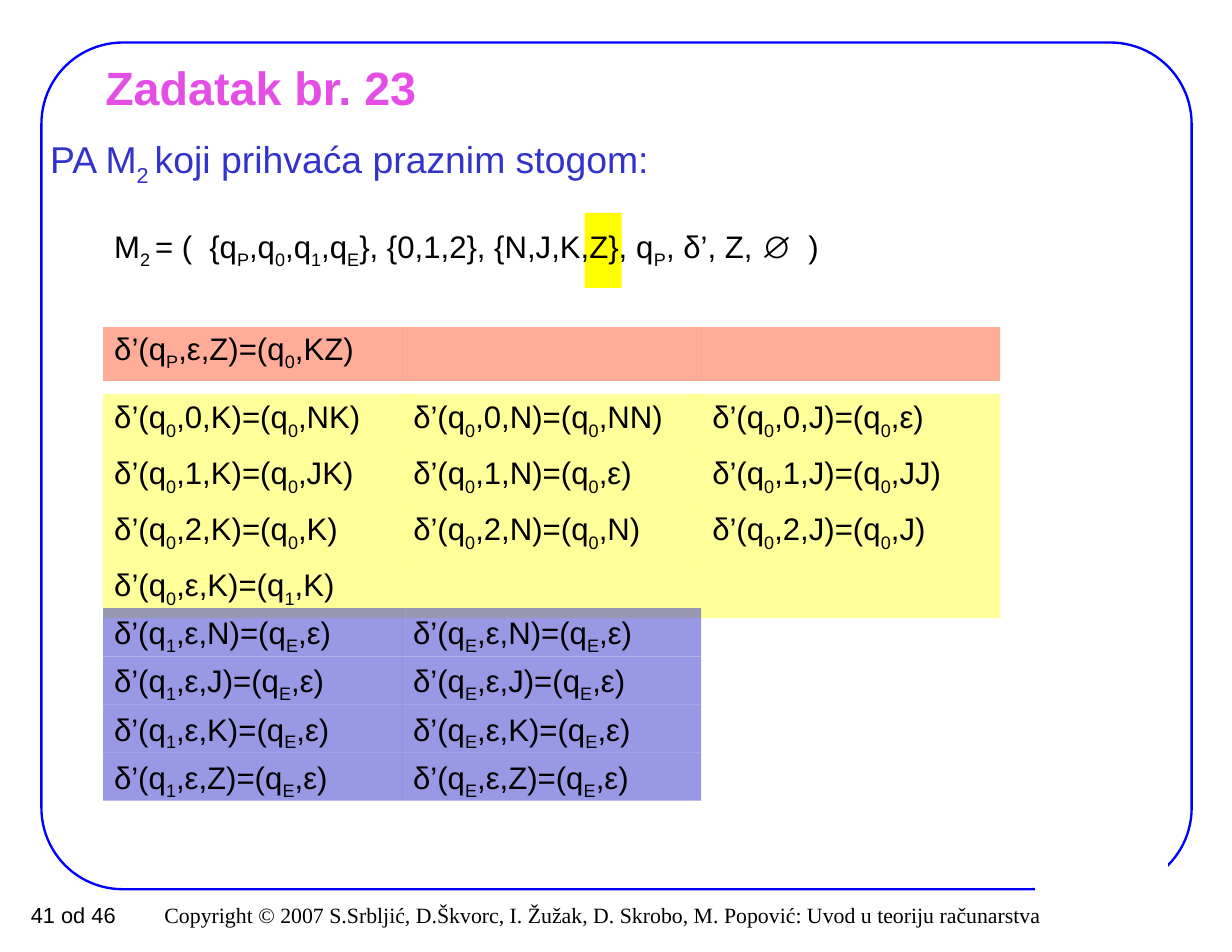
from lxml.etree import SubElement
from pptx import Presentation
from pptx.dml.color import RGBColor
from pptx.enum.shapes import MSO_SHAPE
from pptx.enum.text import MSO_ANCHOR, PP_ALIGN
from pptx.oxml.ns import qn
from pptx.util import Inches, Pt

BLACK = RGBColor(0, 0, 0)
WHITE = RGBColor(255, 255, 255)
BLUE = RGBColor(0, 0, 255)
INDIGO = RGBColor(0x33, 0x33, 0xCC)
PINK = RGBColor(0xE4, 0x4E, 0xE4)
YELLOW = RGBColor(255, 255, 0)
RED = RGBColor(0xFF, 0x33, 0)
PLAIN_STYLE = "{2D5ABB26-0587-4C30-8999-92F81FD0307C}"  # no style, no grid

# Text between bars is subscript.
TITLE = "Zadatak br. 23"
HEADING = "PA M|2 |koji prihvaća praznim stogom:"
MACHINE = ("M|2 |= (\t{q|P|,q|0|,q|1|,q|E|}, {0,1,2}, {N,J,K,Z}, "
           "q|P|, δ’, Z, ∅\t)")
MACHINE_TABS = [0.85, 6.2]
FOOTER = ("Copyright © 2007 S.Srbljić, D.Škvorc, I. Žužak, D. Skrobo, "
          "M. Popović: Uvod u teoriju računarstva")
PAGE = "41 od 46"

START = [["δ’(q|P|,ε,Z)=(q|0|,KZ)", "", ""]]
READ = [
    ["δ’(q|0|,0,K)=(q|0|,NK)", "δ’(q|0|,0,N)=(q|0|,NN)", "δ’(q|0|,0,J)=(q|0|,ε)"],
    ["δ’(q|0|,1,K)=(q|0|,JK)", "δ’(q|0|,1,N)=(q|0|,ε)", "δ’(q|0|,1,J)=(q|0|,JJ)"],
    ["δ’(q|0|,2,K)=(q|0|,K)", "δ’(q|0|,2,N)=(q|0|,N)", "δ’(q|0|,2,J)=(q|0|,J)"],
    ["δ’(q|0|,ε,K)=(q|1|,K)", "", ""],
]
STATES = "1E"
STACK = "NJKZ"

LEFT, COL = 0.92, 2.67
EMPTY_TOP, EMPTY_ROW = 5.43, 0.43


def write(frame, text, size=20, color=BLACK, font="Arial", sub=-25,
          anchor=MSO_ANCHOR.TOP, align=PP_ALIGN.LEFT, tabs=()):
    """Fill a frame with one paragraph, lowering the parts between bars."""
    frame.vertical_anchor = anchor
    para = frame.paragraphs[0]
    para.alignment = align
    if tabs:
        stops = SubElement(para._p.get_or_add_pPr(), qn("a:tabLst"))
        for pos in tabs:
            SubElement(stops, qn("a:tab"), pos=str(Inches(pos)), algn="l")
    para.font.size, para.font.name = Pt(size), font
    para.font.color.rgb = color
    for i, part in enumerate(text.split("|")):
        if part:
            run = para.add_run()
            run.text = part
            if i % 2:
                run._r.get_or_add_rPr().set("baseline", str(sub * 1000))
    return para


def fade(element, percent):
    """Make the solid fill of a cell or shape partly transparent."""
    for color in element.iter(qn("a:srgbClr")):
        SubElement(color, qn("a:alpha"), val=str(percent * 1000))


def add_box(slide, kind, place, fill=None, line=None, width=1):
    box = slide.shapes.add_shape(kind, *map(Inches, place))
    box.shadow.inherit = False
    if fill is None:
        box.fill.background()
    else:
        box.fill.solid()
        box.fill.fore_color.rgb = fill
    if line is None:
        box.line.fill.background()
    else:
        box.line.color.rgb = line
        box.line.width = Pt(width)
    return box


def add_text(slide, place, text, wrap=True, **style):
    frame = slide.shapes.add_textbox(*map(Inches, place)).text_frame
    frame.word_wrap = wrap
    return write(frame, text, **style)


def add_rules(slide, rows, top, height, color, sub):
    count = len(rows[0])
    shape = slide.shapes.add_table(
        len(rows), count, Inches(LEFT), Inches(top),
        Inches(COL * count), Inches(height * len(rows)))
    table = shape.table
    table.first_row = table.horz_banding = False
    for style in table._tbl.iter(qn("a:tableStyleId")):
        style.text = PLAIN_STYLE
    for r, row in enumerate(rows):
        table.rows[r].height = Inches(height)
        for c, text in enumerate(row):
            cell = table.cell(r, c)
            cell.fill.solid()
            cell.fill.fore_color.rgb = color
            fade(cell._tc, 40)
            write(cell.text_frame, text, sub=sub)


def main():
    deck = Presentation()
    deck.slide_width, deck.slide_height = Inches(11), Inches(8.5)
    slide = deck.slides.add_slide(deck.slide_layouts[5])

    frame = add_box(slide, MSO_SHAPE.ROUNDED_RECTANGLE,
                    (0.37, 0.38, 10.27, 7.56), line=BLUE, width=1.5)
    frame.adjustments[0] = 0.096
    add_box(slide, MSO_SHAPE.RECTANGLE, (9.25, 7.67, 1.17, 0.5), WHITE, WHITE)
    add_text(slide, (0.17, 8, 9.23, 0.34), FOOTER, size=14,
             font="Times New Roman", anchor=MSO_ANCHOR.MIDDLE,
             align=PP_ALIGN.RIGHT)
    add_text(slide, (-0.16, 8, 1.63, 0.34), PAGE, wrap=False, size=14,
             align=PP_ALIGN.CENTER)
    add_box(slide, MSO_SHAPE.RECTANGLE, (5.22, 1.9, 0.33, 0.67), YELLOW)

    title = slide.shapes.title
    title.left, title.top, title.width, title.height = map(
        Inches, (0.83, 0.5, 9.35, 0.55))
    title.text_frame.margin_left = Inches(0.11)
    para = write(title.text_frame, TITLE, size=30, color=PINK,
                 anchor=MSO_ANCHOR.MIDDLE)
    para.font.bold = True

    heading = add_text(slide, (0.35, 1.08, 6.58, 0.65), HEADING, wrap=False,
                       size=24, color=INDIGO)
    heading.line_spacing = 1.2

    add_rules(slide, READ, 3.52, 0.5, YELLOW, -30)
    add_rules(slide, START, 2.92, 0.48, RED, -25)

    for r, symbol in enumerate(STACK):
        for c, state in enumerate(STATES):
            place = (LEFT + c * COL, EMPTY_TOP + r * EMPTY_ROW, COL, EMPTY_ROW)
            box = add_box(slide, MSO_SHAPE.RECTANGLE, place, INDIGO)
            fade(box._element, 50)
            write(box.text_frame, f"δ’(q|{state}|,ε,{symbol})=(q|E|,ε)")

    add_text(slide, (LEFT, 1.98, 9.25, 0.48), MACHINE,
             anchor=MSO_ANCHOR.MIDDLE, tabs=MACHINE_TABS)
    deck.save("out.pptx")


if __name__ == "__main__":
    main()
